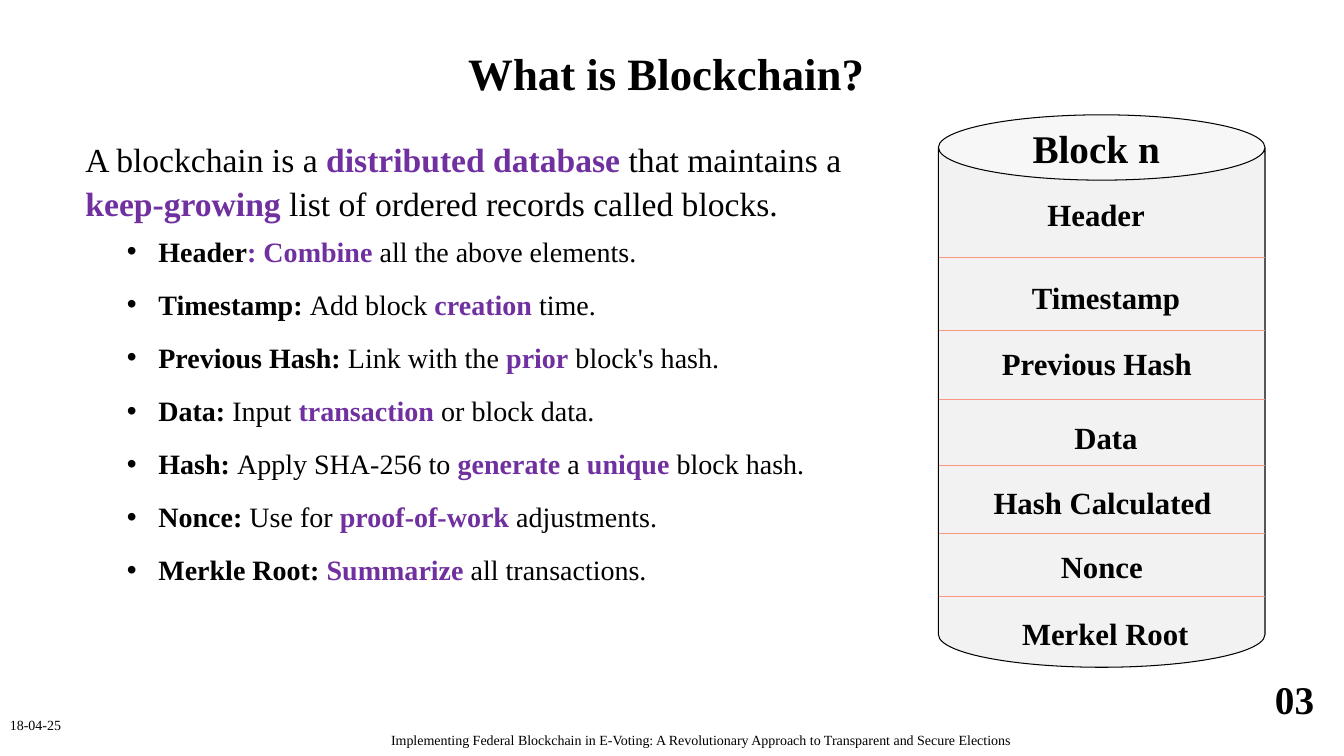
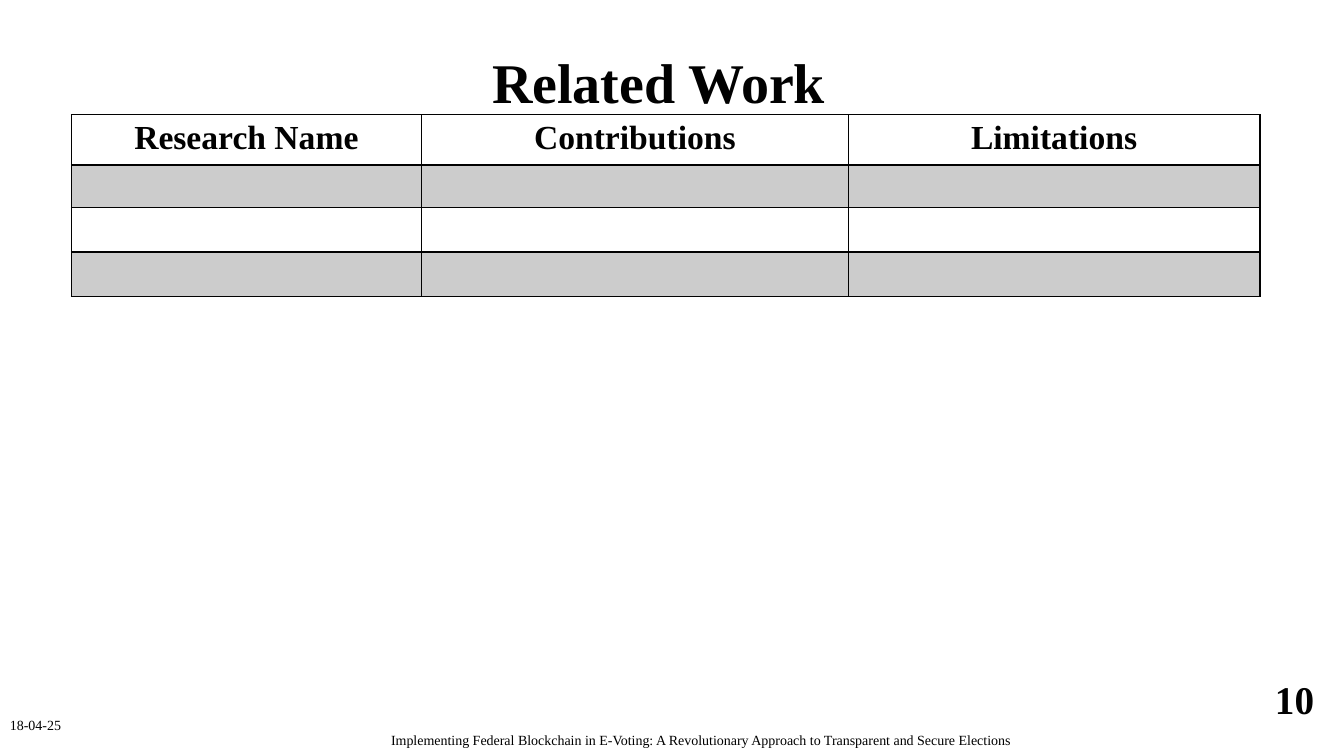
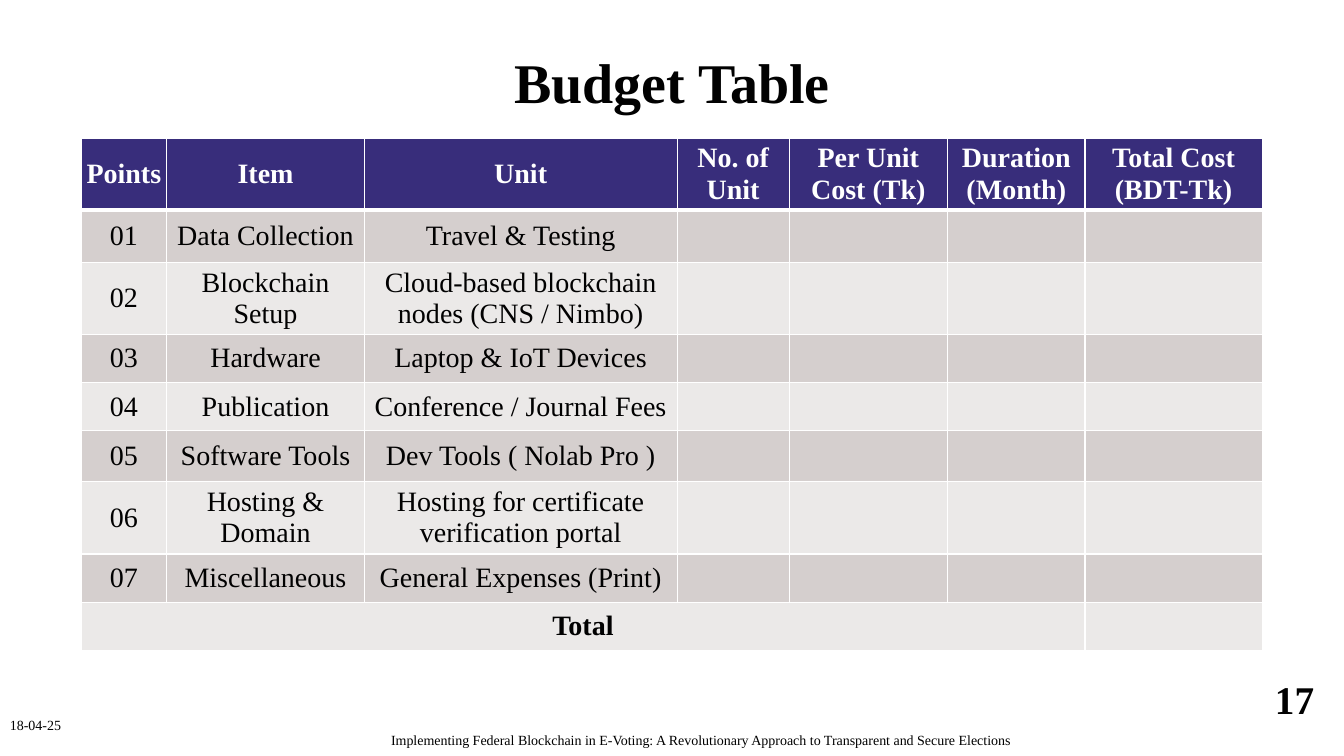
from lxml import etree
from pptx import Presentation
from pptx.dml.color import RGBColor
from pptx.enum import shapes as kinds, text as styles
from pptx.oxml import ns
from pptx.util import Pt

FONT = "Times New Roman"
INK, ACCENT, WHITE = "010101", "7030A0", "FFFFFF"
BODY, RULE, GREY = "F2F2F2", "F9987F", "CCCCCC"
HEAD, DARK, LIGHT = "382D7B", "D5CFCE", "EBE9E8"
MID = styles.PP_ALIGN.CENTER
DATE = "18-04-25"
TOPIC = ("Implementing Federal Blockchain in E-Voting: "
         "A Revolutionary Approach to Transparent and Secure Elections")

INTRO = ("A blockchain is a *distributed database *that maintains a "
         "*keep-growing* list of ordered records called blocks.")
POINTS = [
    ("Header", "*: Combine *all the above elements."),
    ("Timestamp: ", "Add block *creation* time."),
    ("Previous Hash: ", "Link with the *prior* block's hash."),
    ("Data: ", "Input *transaction* or block data."),
    ("Hash: ", "Apply SHA-256 to *generate* a *unique* block hash."),
    ("Nonce: ", "Use for *proof-of-work* adjustments."),
    ("Merkle Root: ", "*Summarize* all transactions."),
]
PARTS = [
    ("Header", 783, 130.3), ("Timestamp", 790, 190),
    ("Previous Hash", 783.5, 237), ("Data", 790, 289.5),
    ("Hash Calculated", 787.5, 336.2), ("Nonce", 787, 381.6),
    ("Merkel Root", 789.5, 429.8),
]
CUTS = [183.6, 236.2, 285.1, 332.6, 380.9, 426.2]

WORKS = [["Research Name", "Contributions", "Limitations"]] + [[""] * 3] * 3
ITEMS = [
    ("Data Collection", "Travel & Testing"),
    ("Blockchain Setup", "Cloud-based blockchain nodes (CNS / Nimbo)"),
    ("Hardware", "Laptop & IoT Devices"),
    ("Publication", "Conference / Journal Fees"),
    ("Software Tools", "Dev Tools ( Nolab Pro )"),
    ("Hosting & Domain", "Hosting for certificate verification portal"),
    ("Miscellaneous", "General Expenses (Print)"),
]
BUDGET = [["Points", "Item", "Unit", "No. of Unit", "Per Unit Cost (Tk)",
           "Duration (Month)", "Total Cost (BDT-Tk)"]]
BUDGET += [[f"{n:02d}", *item] + [""] * 4 for n, item in enumerate(ITEMS, 1)]
BUDGET += [["Total"] + [""] * 6]


def tint(code):
    return RGBColor.from_string(code)


def style(run, size, bold=False, color=INK):
    font = run.font
    font.name, font.size, font.bold = FONT, Pt(size), bold
    font.color.rgb = tint(color)


def frame(parent, left, top, width, height, inset=None):
    box = parent.add_textbox(Pt(left), Pt(top), Pt(width), Pt(height))
    body = box.text_frame
    body.word_wrap = True
    if inset is not None:
        body.margin_left = body.margin_right = Pt(inset)
        body.margin_top = body.margin_bottom = Pt(inset)
    body.paragraphs[0].line_spacing = 1.08
    return body


def write(parent, words, area, size, bold=False, align=None, inset=None):
    line = frame(parent, *area, inset).paragraphs[0]
    line.text = words
    line.alignment = align
    style(line.runs[0], size, bold)


def rich(line, size, words, label=""):
    if label:
        run = line.add_run()
        run.text = label
        style(run, size, True)
    for n, part in enumerate(words.split("*")):
        if part:
            run = line.add_run()
            run.text = part
            style(run, size, n % 2 == 1, ACCENT if n % 2 else INK)


def points(parent, area, items):
    body = frame(parent, *area)
    for n, (label, words) in enumerate(items):
        line = body.add_paragraph() if n else body.paragraphs[0]
        line.line_spacing = 1.08
        line.space_before = Pt(12 if n else 0)
        props = line._p.get_or_add_pPr()
        props.set("marL", str(Pt(22.5)))
        props.set("indent", str(Pt(-22.5)))
        mark = etree.SubElement(props, ns.qn("a:buFont"))
        mark.set("typeface", "Arial")
        etree.SubElement(props, ns.qn("a:buChar")).set("char", "•")
        rich(line, 20, words, label)


def rule(parent, left, right, top):
    line = parent.add_connector(kinds.MSO_CONNECTOR.STRAIGHT,
                                Pt(left), Pt(top), Pt(right), Pt(top))
    line.line.color.rgb = tint(RULE)
    line.line.width = Pt(0.75)
    etree.SubElement(line._element.spPr, ns.qn("a:effectLst"))


def block(slide):
    group = slide.shapes.add_group_shape().shapes
    can = group.add_shape(kinds.MSO_SHAPE.CAN,
                          Pt(670.3), Pt(82), Pt(233.3), Pt(394.6))
    can.adjustments[0] = 0.2
    can.shadow.inherit = False
    can.fill.solid()
    can.fill.fore_color.rgb = tint(BODY)
    can.line.color.rgb = tint(INK)
    can.line.width = Pt(0.75)
    for top in CUTS:
        rule(group, 670.5, 903.6, top)
    write(group, "Block n", (717, 79.2, 132, 45.4), 28, True, MID, 7.2)
    for name, mid, top in PARTS:
        write(group, name, (mid - 116, top, 232, 41), 22, True, MID, 7.2)


def border(cell, color, width, base):
    props = cell._tc.get_or_add_tcPr()
    for side in "LRTB":
        edge = etree.SubElement(props, ns.qn("a:ln" + side))
        edge.set("w", str(Pt(base if side == "B" else width)))
        fill = etree.SubElement(edge, ns.qn("a:solidFill"))
        etree.SubElement(fill, ns.qn("a:srgbClr")).set("val", color)


def grid(slide, left, top, cols, heights, rows, size, fills, edge, base,
         ink=INK, tight=False, total=False):
    table = slide.shapes.add_table(
        len(rows), len(cols), Pt(left), Pt(top),
        Pt(sum(cols)), Pt(sum(heights))).table
    table.first_row = table.horz_banding = False
    for col, width in zip(table.columns, cols):
        col.width = Pt(width)
    for row, height in zip(table.rows, heights):
        row.height = Pt(height)
    if total:
        table.cell(len(rows) - 1, 0).merge(
            table.cell(len(rows) - 1, len(cols) - 2))
    for r, row in enumerate(rows):
        bold = r == 0 or (total and r == len(rows) - 1)
        for c, words in enumerate(row):
            cell = table.cell(r, c)
            border(cell, edge, 1, 1 if r else base)
            cell.fill.solid()
            shade = fills[2 - r % 2] if r else fills[0]
            cell.fill.fore_color.rgb = tint(shade)
            if tight:
                cell.margin_left = cell.margin_right = Pt(2.2)
                cell.margin_top = cell.margin_bottom = Pt(1.4)
                cell.vertical_anchor = styles.MSO_ANCHOR.MIDDLE
            if words:
                line = cell.text_frame.paragraphs[0]
                line.text = words
                line.alignment = MID
                style(line.runs[0], size, bold, INK if r else ink)


def page(deck, title, number, size, mid):
    slide = deck.slides.add_slide(deck.slide_layouts[6])
    draw = slide.shapes
    write(draw, title, (mid - 280, 26.4, 560, 55.4), size, True, MID)
    write(draw, number, (903.6, 476, 46.8, 41), 28, True)
    write(draw, TOPIC, (272.2, 517.7, 466.6, 19.4), 10)
    write(draw, DATE, (0, 507.6, 103, 19.4), 10)
    return slide


def main():
    deck = Presentation()
    deck.slide_width, deck.slide_height = Pt(960), Pt(540)

    slide = page(deck, "What is Blockchain?", "03", 32, 476)
    rich(frame(slide.shapes, 54, 93.6, 561.6, 65.5).paragraphs[0], 24, INTRO)
    points(slide.shapes, (83.5, 162, 534.2, 250), POINTS)
    block(slide)

    slide = page(deck, "Related Work", "10", 40, 470.4)
    grid(slide, 51, 82, [250, 305, 294], [34, 30, 32, 32], WORKS, 24,
         [WHITE, GREY, WHITE], INK, 2)

    slide = page(deck, "Budget Table", "17", 40, 480)
    grid(slide, 57.8, 98.8, [61.4, 141, 223.5, 80, 113.2, 98.2, 126.5],
         [51, 37.5, 51.5, 34.5, 34.5, 36.5, 51.5, 34.5, 34.5], BUDGET, 20,
         [HEAD, DARK, LIGHT], WHITE, 3, WHITE, True, True)

    deck.save("out.pptx")


if __name__ == "__main__":
    main()
